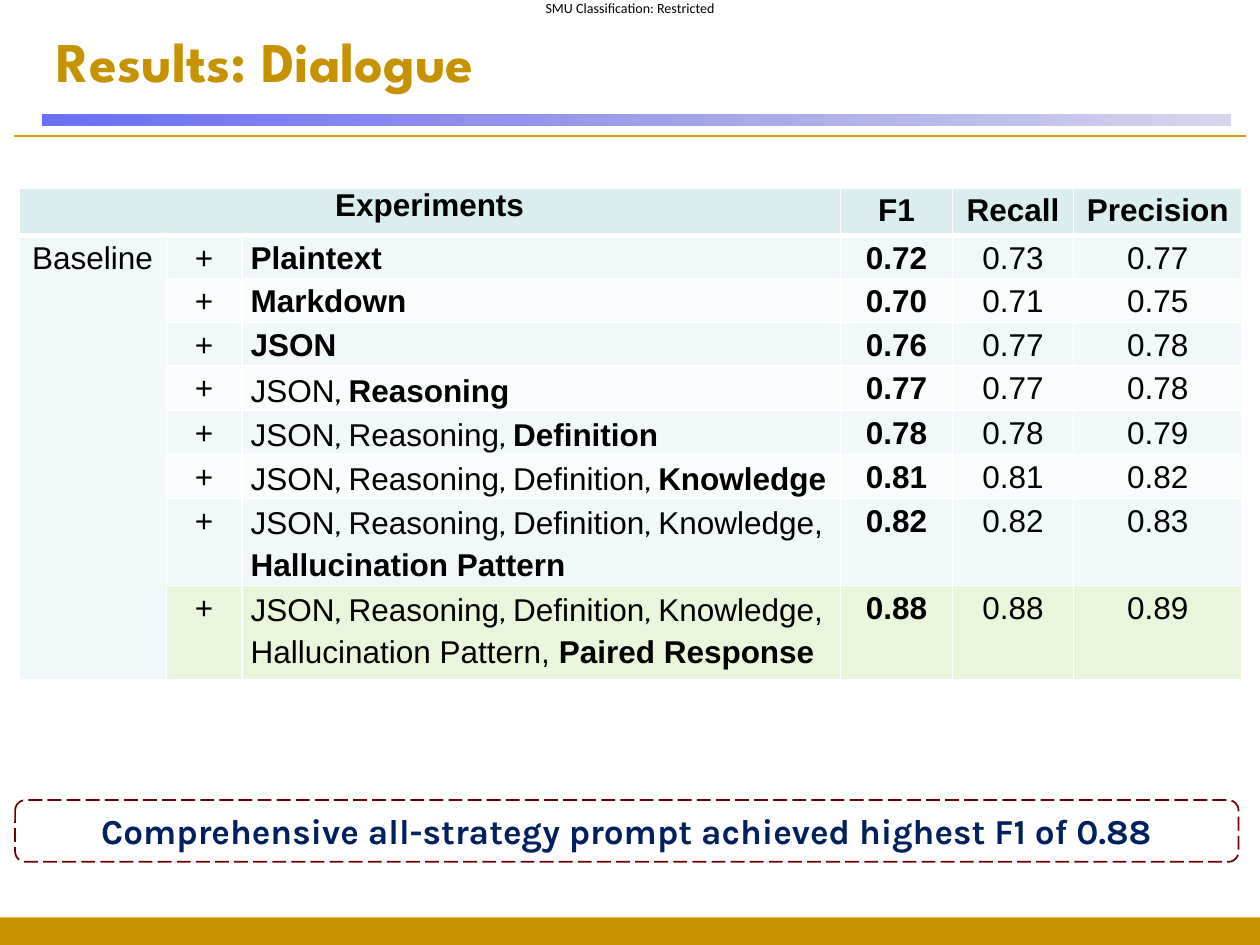
from dataclasses import dataclass

from lxml.etree import SubElement
from pptx import Presentation
from pptx.dml.color import RGBColor as RGB
from pptx.enum.dml import MSO_LINE as Dash
from pptx.enum.shapes import MSO_CONNECTOR as Link, MSO_SHAPE as Shape
from pptx.enum.text import MSO_ANCHOR as Anchor, MSO_AUTO_SIZE as Fit, PP_ALIGN as Align
from pptx.oxml.ns import qn
from pptx.util import Inches, Pt


@dataclass(frozen=True)
class Theme:
    gold: str = "C69200"
    rule: str = "D59F0F"
    ink: str = "000000"
    navy: str = "002060"
    maroon: str = "700000"
    white: str = "FFFFFF"
    head: str = "DAEDEF"
    bands: tuple = ("F1F8F9", "F8FCFC")
    best: str = "E9F6DC"
    fade: tuple = (("464AFC", 80), ("3235B4", 20))
    title: int = 32
    claim: int = 20
    table: int = 18
    label: int = 8


T = Theme()
CHAIN = ["JSON", "Reasoning", "Definition", "Knowledge",
         "Hallucination Pattern", "Paired Response"]
TRIALS = [["Plaintext"], ["Markdown"]] + [CHAIN[:n + 1] for n in range(len(CHAIN))]
SCORES = [("0.72", "0.73", "0.77"), ("0.70", "0.71", "0.75"),
          ("0.76", "0.77", "0.78"), ("0.77", "0.77", "0.78"),
          ("0.78", "0.78", "0.79"), ("0.81", "0.81", "0.82"),
          ("0.82", "0.82", "0.83"), ("0.88", "0.88", "0.89")]
COLS = [1.17, 0.6, 4.75, 0.89, 0.96, 1.34]
ROWS = [0.38] + [0.325] * 3 + [0.35] * 3 + [0.68, 0.75]


def inch(*box):
    return [Inches(v) for v in box]


def put(item, **values):
    for name, value in values.items():
        setattr(item, name, value)


def write(para, text, size, face="Arial", color=T.ink, bold=False):
    run = para.add_run()
    run.text = text
    put(run.font, size=Pt(size), name=face, bold=bold)
    run.font.color.rgb = RGB.from_string(color)


def paint(item, color):
    item.fill.solid()
    item.fill.fore_color.rgb = RGB.from_string(color)


def block(slide, kind, box):
    shape = slide.shapes.add_shape(kind, *inch(*box))
    shape.shadow.inherit = False
    shape.line.fill.background()
    return shape


def header(slide, x, y, w):
    """Classification label, title, fading bar and thin rule."""
    note = slide.shapes.add_textbox(*inch(x + 4.33, y, 1.37, 0.13)).text_frame
    put(note, margin_left=0, margin_top=0, margin_right=0, margin_bottom=0)
    write(note.paragraphs[0], "SMU Classification: Restricted", T.label, "Calibri")

    title = slide.shapes.title
    left, top, width, height = inch(x + 0.35, y + 0.13, w - 0.92, 0.7)
    put(title, left=left, top=top, width=width, height=height)
    put(title.text_frame, vertical_anchor=Anchor.MIDDLE, auto_size=Fit.NONE)
    para = title.text_frame.paragraphs[0]
    para.alignment = Align.LEFT
    write(para, "Results: Dialogue", T.title, "League Spartan", T.gold, True)

    bar = block(slide, Shape.RECTANGLE, (x + 0.34, y + 0.91, w - 0.57, 0.09))
    bar.fill.gradient()
    bar.fill.gradient_angle = 0
    for stop, (color, _) in zip(bar.fill.gradient_stops, T.fade):
        stop.color.rgb = RGB.from_string(color)
    tints = bar._element.spPr.iter(qn("a:srgbClr"))
    for tint, (_, alpha) in zip(list(tints), T.fade):
        SubElement(tint, qn("a:alpha"), val=str(alpha * 1000))

    ends = inch(x + 0.11, y + 1.08, x + w - 0.11, y + 1.08)
    rule = slide.shapes.add_connector(Link.STRAIGHT, *ends)
    rule.line.width = Pt(0.75)
    rule.line.color.rgb = RGB.from_string(T.rule)
    SubElement(rule._element.spPr, qn("a:effectLst"))


def edge(cell, row):
    """White cell borders, thicker below the head row."""
    props = cell._tc.get_or_add_tcPr()
    for side in "LRTB":
        thick = (row, side) in ((0, "B"), (1, "T"))
        line = SubElement(props, qn(f"a:ln{side}"), w=str(Pt(3 if thick else 1)))
        fill = SubElement(line, qn("a:solidFill"))
        SubElement(fill, qn("a:srgbClr"), val=T.white)


def fill_cell(cell, runs, align=Align.CENTER, spaced=True):
    para = cell.text_frame.paragraphs[0]
    para.alignment = align
    if spaced:
        put(para, line_spacing=1.15, space_after=Pt(8))
    for text, face, bold in runs:
        write(para, text, T.table, face, bold=bold)


def strategy(names):
    """Runs for a list of strategies, the newest in bold."""
    runs = []
    for n, name in enumerate(names[:-1]):
        if n < 3:
            runs += [(name, "Arial", False), (", ", "Cabin", False)]
        else:
            runs.append((name + ", ", "Arial", False))
    return runs + [(names[-1], "Arial", True)]


def results(slide, x, y):
    size = inch(x, y, sum(COLS), sum(ROWS))
    grid = slide.shapes.add_table(len(ROWS), len(COLS), *size).table
    put(grid, first_row=False, horz_banding=False)
    for col, width in zip(grid.columns, COLS):
        col.width = Inches(width)
    last = len(ROWS) - 1
    for r, height in enumerate(ROWS):
        grid.rows[r].height = Inches(height)
        for c in range(len(COLS)):
            cell = grid.cell(r, c)
            put(cell, margin_left=Inches(0.07), margin_right=Inches(0.07),
                margin_top=0, margin_bottom=0)
            edge(cell, r)
            band = T.bands[0 if c == 0 else (r - 1) % 2]
            paint(cell, T.head if r == 0 else T.best if r == last and c else band)
    grid.cell(0, 0).merge(grid.cell(0, 2))
    grid.cell(1, 0).merge(grid.cell(last, 0))

    fill_cell(grid.cell(0, 0), [("Experiments", "Arial", True)], spaced=False)
    for c, name in enumerate(("F1", "Recall", "Precision"), 3):
        fill_cell(grid.cell(0, c), [(name, "Arial", True)])
    fill_cell(grid.cell(1, 0), [("Baseline", "Arial", False)])
    for r, (names, scores) in enumerate(zip(TRIALS, SCORES), 1):
        fill_cell(grid.cell(r, 1), [("+", "Arial", False)])
        fill_cell(grid.cell(r, 2), strategy(names), Align.LEFT)
        for c, score in enumerate(scores, 3):
            fill_cell(grid.cell(r, c), [(score, "Arial", c == 3)])


def claim(slide, *box):
    frame = block(slide, Shape.ROUNDED_RECTANGLE, box)
    frame.fill.background()
    frame.line.color.rgb = RGB.from_string(T.maroon)
    put(frame.line, width=Pt(1), dash_style=Dash.LONG_DASH)
    put(frame.text_frame, word_wrap=True, vertical_anchor=Anchor.MIDDLE)
    para = frame.text_frame.paragraphs[0]
    para.alignment = Align.CENTER
    write(para, "Comprehensive all-strategy prompt achieved highest F1 of 0.88",
          T.claim, "Karla", T.navy, True)


def main():
    deck = Presentation()
    put(deck, slide_width=Inches(10), slide_height=Inches(7.5))
    slide = deck.slides.add_slide(deck.slide_layouts[5])
    header(slide, 0, 0, 10)
    paint(block(slide, Shape.RECTANGLE, (0, 7.28, 10, 0.22)), T.gold)
    results(slide, 0.15, 1.49)
    claim(slide, 0.12, 6.35, 9.71, 0.49)
    deck.save("out.pptx")


if __name__ == "__main__":
    main()
